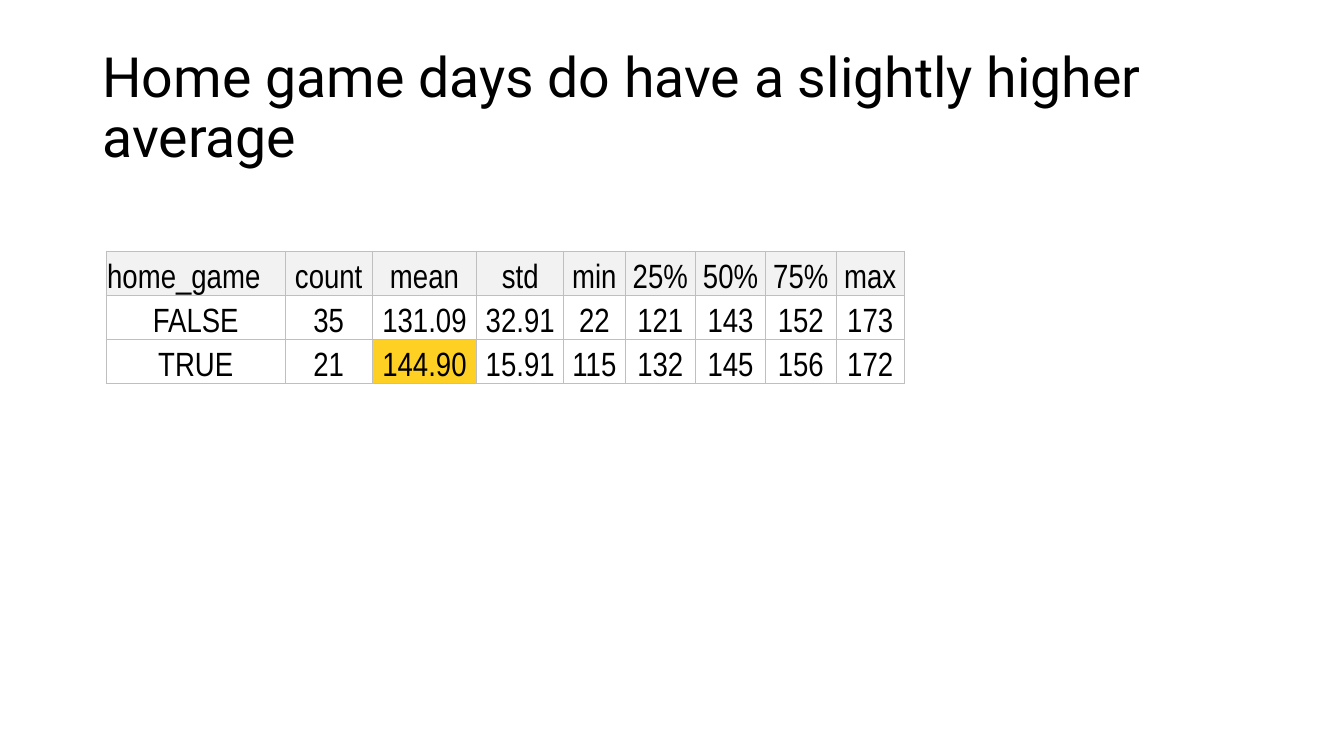
from dataclasses import dataclass
from lxml.etree import SubElement
from pptx import Presentation
from pptx.dml.color import RGBColor
from pptx.enum.text import MSO_ANCHOR, MSO_AUTO_SIZE, PP_ALIGN
from pptx.oxml.ns import qn
from pptx.util import Pt

TITLE = "Home game days do have a slightly higher average"
ROWS = [
    ("home_game", "count", "mean", "std", "min", "25%", "50%", "75%", "max"),
    ("FALSE", "35", "131.09", "32.91", "22", "121", "143", "152", "173"),
    ("TRUE", "21", "144.90", "15.91", "115", "132", "145", "156", "172"),
]
WIDTHS = [128, 62, 74.8, 62, 44, 50.2, 50.2, 50.2, 49]
HIGH = 31.5
BEST = (2, 2)


@dataclass
class Theme:
    ink: str = "000000"
    head: str = "F2F2F2"
    mark: str = "FDD023"
    rule: str = "BFBFBF"
    thin: float = 0.5
    title: float = 39.6
    body: float = 24
    sans: str = "Roboto"
    narrow: str = "Arial Narrow"


LOOK = Theme()


def style(para, font, size, align):
    para.alignment = align
    for run in para.runs:
        run.font.name = font
        run.font.size = Pt(size)
        run.font.bold = False
        run.font.color.rgb = RGBColor.from_string(LOOK.ink)


def border(cell):
    props = cell._tc.get_or_add_tcPr()
    for spot, side in enumerate(("lnL", "lnR", "lnT", "lnB")):
        line = SubElement(props, qn("a:" + side), w=str(Pt(LOOK.thin)))
        fill = SubElement(line, qn("a:solidFill"))
        SubElement(fill, qn("a:srgbClr"), val=LOOK.rule)
        props.insert(spot, line)


def paint(cell, row, col):
    color = LOOK.head if row == 0 else LOOK.mark if (row, col) == BEST else None
    if color:
        cell.fill.solid()
        cell.fill.fore_color.rgb = RGBColor.from_string(color)
    else:
        cell.fill.background()


def add_title(slide):
    title = slide.shapes.title
    title.left, title.top = Pt(66), Pt(46.8)
    title.width, title.height = Pt(828), Pt(62.6)
    frame = title.text_frame
    frame.text = TITLE
    frame.word_wrap = True
    frame.auto_size = MSO_AUTO_SIZE.NONE
    frame.vertical_anchor = MSO_ANCHOR.MIDDLE
    para = frame.paragraphs[0]
    para.line_spacing = 0.9
    style(para, LOOK.sans, LOOK.title, PP_ALIGN.LEFT)


def add_stats(slide):
    table = slide.shapes.add_table(
        len(ROWS), len(WIDTHS), Pt(75.8), Pt(179.3),
        Pt(sum(WIDTHS)), Pt(HIGH * len(ROWS))).table
    table.first_row = table.horz_banding = False
    for col, width in enumerate(WIDTHS):
        table.columns[col].width = Pt(width)
    for row, texts in enumerate(ROWS):
        table.rows[row].height = Pt(HIGH)
        for col, text in enumerate(texts):
            cell = table.cell(row, col)
            cell.text_frame.text = text
            cell.vertical_anchor = MSO_ANCHOR.BOTTOM
            cell.margin_left = cell.margin_right = cell.margin_top = Pt(0.75)
            cell.margin_bottom = 0
            align = PP_ALIGN.CENTER if row or col else PP_ALIGN.LEFT
            style(cell.text_frame.paragraphs[0], LOOK.narrow, LOOK.body, align)
            paint(cell, row, col)
            border(cell)


def main():
    deck = Presentation()
    deck.slide_width, deck.slide_height = Pt(960), Pt(540)
    slide = deck.slides.add_slide(deck.slide_layouts[5])
    add_title(slide)
    add_stats(slide)
    deck.save("out.pptx")


if __name__ == "__main__":
    main()
